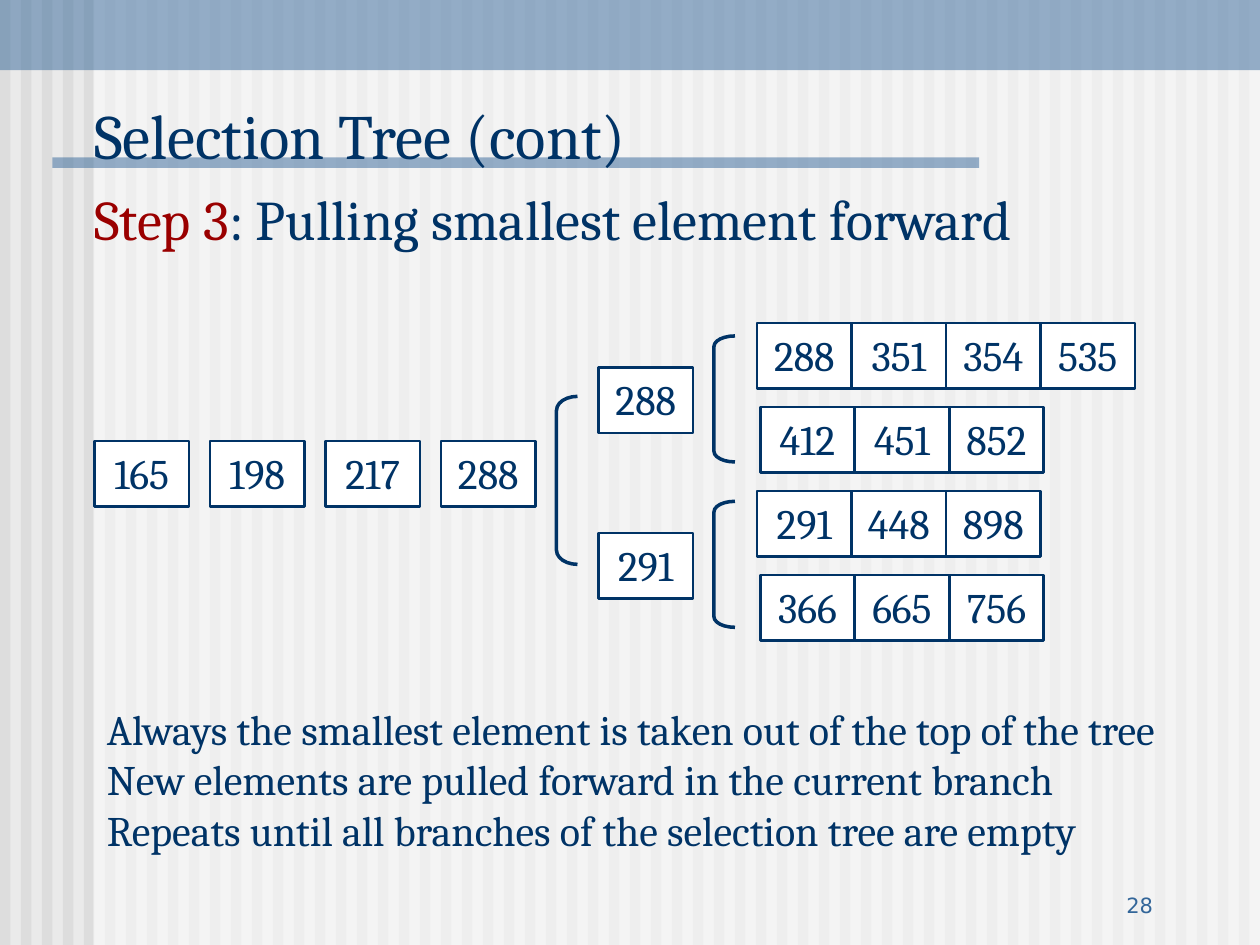
from dataclasses import dataclass

from lxml import etree
from pptx import Presentation, util as u
from pptx.dml.color import RGBColor
from pptx.enum import shapes, text
from pptx.oxml.ns import qn

COLORS = {"ground": "EAEAEA", "stripe": "DDDDDD", "white": "FFFFFF",
          "steel": "336699", "navy": "003366", "red": "9A0000"}
SERIF, SANS = "Cambria", "DejaVu Sans"
GRID_COLS, GRID_ROWS = 120, 90
WIDTH, HEIGHT = u.Inches(10), u.Inches(7.5)
CELL_W, CELL_H = 9, 6.25


@dataclass(frozen=True)
class Box:
    """A place on the slide in grid columns and rows."""
    col: float
    row: float
    cols: float
    rows: float

    def emu(self) -> list[int]:
        return [round(self.col * WIDTH / GRID_COLS), round(self.row * HEIGHT / GRID_ROWS),
                round(self.cols * WIDTH / GRID_COLS), round(self.rows * HEIGHT / GRID_ROWS)]


@dataclass(frozen=True)
class Run:
    """A run of text with its look."""
    words: str
    size: int
    color: str = "navy"
    font: str = SERIF


@dataclass(frozen=True)
class Cells:
    """A row of number cells, one every `step` columns."""
    col: float
    row: float
    numbers: tuple[int, ...]
    step: float = CELL_W


@dataclass(frozen=True)
class Bracket:
    """A bracket that joins the branches of a node."""
    place: Box
    curve: float


STRIPES = [Box(2 * n, 0, 1, GRID_ROWS) for n in range(GRID_COLS // 2)]
PANELS = [(Box(8.9, 0, 111.1, GRID_ROWS), "white"),
          (Box(0, 0, GRID_COLS, 6.7), "steel"),
          (Box(5, 15, 88.25, 1), "steel")]
RUNS = [Cells(72.1, 30.75, (288, 351, 354, 535)),
        Cells(72.4, 38.75, (412, 451, 852)),
        Cells(72.1, 46.75, (291, 448, 898)),
        Cells(72.4, 54.75, (366, 665, 756))]
NODES = [Cells(57, 35, (288,)), Cells(57, 50.75, (291,))]
OUTPUT = Cells(9, 42, (165, 198, 217, 288), step=11)
BRACKETS = [Bracket(Box(68, 32, 2, 12), 0.5),
            Bracket(Box(68, 47.75, 2, 12), 0.5),
            Bracket(Box(53, 37.75, 2, 16), 0.67)]
NOTES = ["Always the smallest element is taken out of the top of the tree",
         "New elements are pulled forward in the current branch",
         "Repeats until all branches of the selection tree are empty"]


def rgb(name: str) -> RGBColor:
    return RGBColor.from_string(COLORS[name])


def apply(target, values: dict) -> None:
    for name, value in values.items():
        setattr(target, name, value)


def write(frame, paragraphs: list[list[Run]], align=text.PP_ALIGN.LEFT,
          anchor=text.MSO_ANCHOR.TOP, wrap=True, side=0.1) -> None:
    apply(frame, {"auto_size": text.MSO_AUTO_SIZE.NONE, "word_wrap": wrap,
                  "vertical_anchor": anchor,
                  "margin_left": u.Inches(side), "margin_right": u.Inches(side),
                  "margin_top": u.Inches(0.05), "margin_bottom": u.Inches(0.05)})
    for index, runs in enumerate(paragraphs):
        paragraph = frame.add_paragraph() if index else frame.paragraphs[0]
        apply(paragraph, {"alignment": align, "space_before": u.Pt(0), "line_spacing": 1.0})
        for run in runs:
            part = paragraph.add_run()
            part.text = run.words
            apply(part.font, {"size": u.Pt(run.size), "name": run.font, "bold": False})
            part.font.color.rgb = rgb(run.color)


def add_block(owner, place: Box, fill: str, alpha: int = 100):
    """Add a borderless rectangle; alpha is its opacity in percent."""
    block = owner.add_shape(shapes.MSO_SHAPE.RECTANGLE, *place.emu())
    block.shadow.inherit = False
    block.fill.solid()
    block.fill.fore_color.rgb = rgb(fill)
    block.line.fill.background()
    if alpha < 100:
        color = block.fill._xPr.find(".//" + qn("a:srgbClr"))
        etree.SubElement(color, qn("a:alpha")).set("val", str(alpha * 1000))
    return block


def outline(shape, width: float) -> None:
    shape.line.color.rgb = rgb("navy")
    shape.line.width = u.Pt(width)


def add_cells(owner, cells: Cells) -> None:
    for index, number in enumerate(cells.numbers):
        place = Box(cells.col + index * cells.step, cells.row, CELL_W, CELL_H)
        cell = add_block(owner, place, "white")
        outline(cell, 1.5)
        write(cell.text_frame, [[Run(str(number), 24)]], align=text.PP_ALIGN.CENTER,
              wrap=False)


def add_bracket(owner, bracket: Bracket) -> None:
    shape = owner.add_shape(shapes.MSO_SHAPE.LEFT_BRACKET, *bracket.place.emu())
    shape.shadow.inherit = False
    shape.adjustments[0] = bracket.curve
    shape.fill.background()
    outline(shape, 2)


def place_placeholder(slide, placeholder, place: Box) -> None:
    """Move a placeholder and bring it in front of the backdrop."""
    apply(placeholder, dict(zip(("left", "top", "width", "height"), place.emu())))
    slide.shapes._spTree.append(placeholder._element)


def add_backdrop(slide) -> None:
    slide.background.fill.solid()
    slide.background.fill.fore_color.rgb = rgb("ground")
    stripes = slide.shapes.add_group_shape()
    for stripe in STRIPES:
        add_block(stripes.shapes, stripe, "stripe")
    for place, color in PANELS:
        add_block(slide.shapes, place, color, alpha=50)


def add_texts(slide) -> None:
    title, subtitle = slide.placeholders
    place_placeholder(slide, title, Box(8, 7, 112, 10))
    write(title.text_frame, [[Run("Selection Tree (cont)", 36)]],
          anchor=text.MSO_ANCHOR.BOTTOM, side=0.08)
    place_placeholder(slide, subtitle, Box(8, 17, 111, 68))
    write(subtitle.text_frame,
          [[Run("Step 3", 32, "red"), Run(": Pulling smallest element forward", 32)]],
          side=0.08)
    notes = slide.shapes.add_textbox(*Box(9, 66.4, 111, 15.6).emu())
    write(notes.text_frame, [[Run(line, 24)] for line in NOTES])
    page = slide.shapes.add_textbox(*Box(86, 82, 25, 6).emu())
    write(page.text_frame, [[Run("28", 12, "steel", SANS)]],
          align=text.PP_ALIGN.RIGHT, anchor=text.MSO_ANCHOR.BOTTOM)


def main() -> None:
    deck = Presentation()
    apply(deck, {"slide_width": WIDTH, "slide_height": HEIGHT})
    slide = deck.slides.add_slide(deck.slide_layouts[0])
    add_backdrop(slide)
    add_texts(slide)
    for cells in (*RUNS, *NODES, OUTPUT):
        add_cells(slide.shapes, cells)
    for bracket in BRACKETS:
        add_bracket(slide.shapes, bracket)
    deck.save("out.pptx")


if __name__ == "__main__":
    main()
